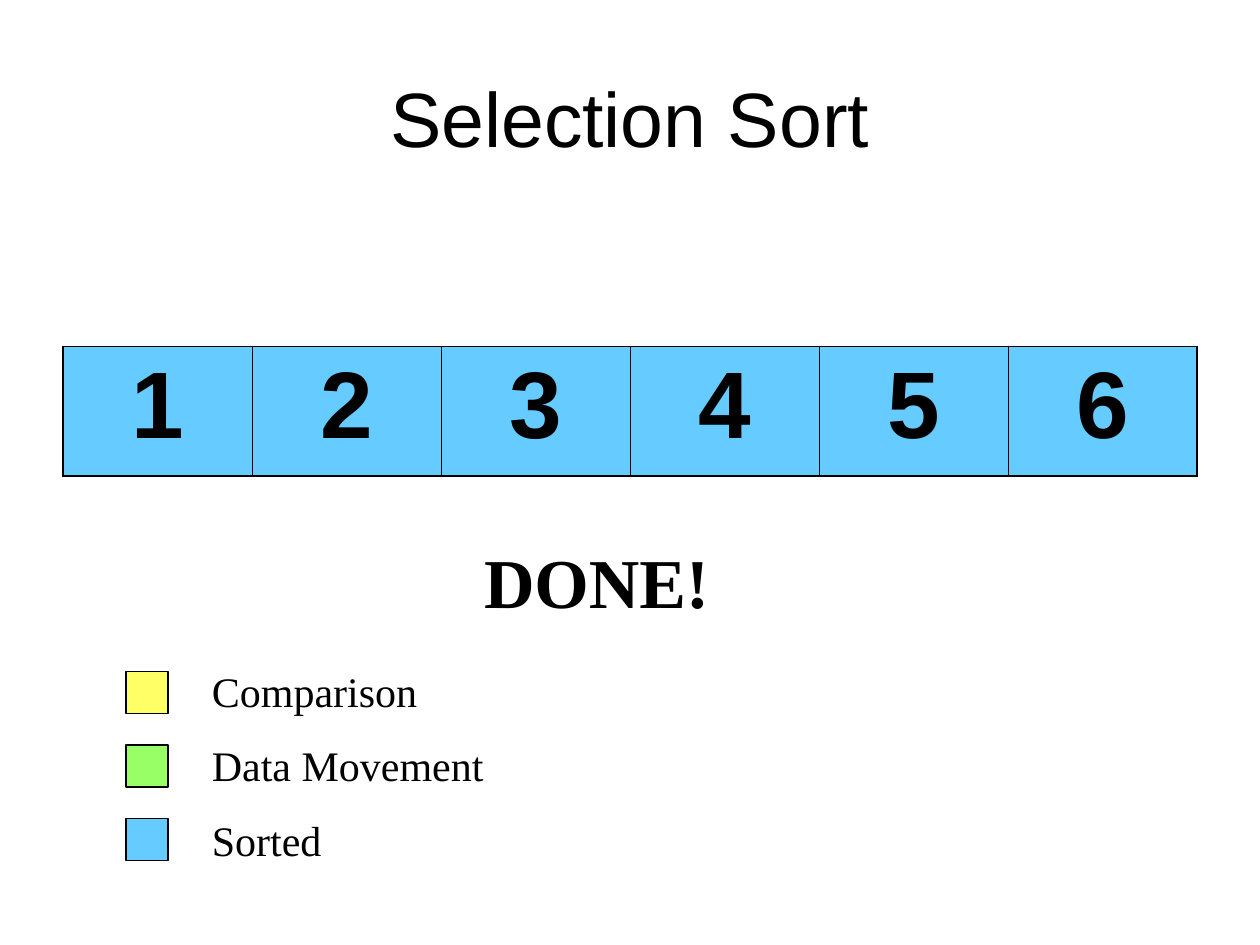
import pptx
import pptx.dml.color
import pptx.enum.shapes
import pptx.enum.text
import pptx.oxml
import pptx.oxml.ns
import pptx.util

Pt = pptx.util.Pt
ALIGN = pptx.enum.text.PP_ALIGN
ANCHOR = pptx.enum.text.MSO_ANCHOR
COLORS = {
    "ink": "000000",
    "comparison": "FFFF66",
    "movement": "99FF66",
    "sorted": "66CCFF",
}
LEGEND = [
    ("Comparison", "comparison"),
    ("Data Movement", "movement"),
    ("Sorted", "sorted"),
]


def color(name):
    return pptx.dml.color.RGBColor.from_string(COLORS[name])


def format_para(para, font, size, bold=False, align=ALIGN.LEFT):
    para.alignment = align
    for span in para.runs:
        span.font.name = font
        span.font.size = Pt(size)
        span.font.bold = bold
        span.font.color.rgb = color("ink")


def add_title(page, left, top, width, height):
    title = page.shapes.title
    title.left, title.top = Pt(left), Pt(top)
    title.width, title.height = Pt(width), Pt(height)
    title.text_frame.text = "Selection Sort"
    title.text_frame.vertical_anchor = ANCHOR.MIDDLE
    format_para(title.text_frame.paragraphs[0], "Arial", 44, align=ALIGN.CENTER)


def set_borders(cell, widths):
    properties = cell._tc.get_or_add_tcPr()
    for index, (side, width) in enumerate(widths.items()):
        border = pptx.oxml.parse_xml(
            f'<a:ln{side} {pptx.oxml.ns.nsdecls("a")} w="{int(Pt(width))}">'
            f'<a:solidFill><a:srgbClr val="{COLORS["ink"]}"/></a:solidFill>'
            f"</a:ln{side}>"
        )
        properties.insert(index, border)


def add_array(page, left, top, width, height, values):
    frame = page.shapes.add_table(
        1, len(values), Pt(left), Pt(top), Pt(width), Pt(height)
    )
    table = frame.table
    table.first_row = False
    table.horz_banding = False
    last = len(values) - 1
    for index, value in enumerate(values):
        cell = table.cell(0, index)
        cell.text_frame.text = str(value)
        cell.vertical_anchor = ANCHOR.TOP
        format_para(cell.text_frame.paragraphs[0], "Arial", 54, True, ALIGN.CENTER)
        cell.fill.solid()
        cell.fill.fore_color.rgb = color("sorted")
        set_borders(cell, {
            "L": 1.08 if index == 0 else 0.45,
            "R": 1.08 if index == last else 0.45,
            "T": 1.08,
            "B": 1.08,
        })


def add_text(page, left, top, width, height, lines, size, bold=False, gap=0, wrap=True):
    box = page.shapes.add_textbox(Pt(left), Pt(top), Pt(width), Pt(height))
    frame = box.text_frame
    frame.word_wrap = wrap
    frame.auto_size = pptx.enum.text.MSO_AUTO_SIZE.SHAPE_TO_FIT_TEXT
    frame.text = "\n".join(lines)
    for index, para in enumerate(frame.paragraphs):
        format_para(para, "Times New Roman", size, bold)
        if index:
            para.space_before = Pt(gap)


def add_legend(page, left, top, width, height):
    swatch, pitch, indent = 24, 42, 42
    for index, (label, fill) in enumerate(LEGEND):
        square = page.shapes.add_shape(
            pptx.enum.shapes.MSO_SHAPE.RECTANGLE,
            Pt(left), Pt(top + 7.2 + index * pitch), Pt(swatch), Pt(swatch),
        )
        square.shadow.inherit = False
        square.fill.solid()
        square.fill.fore_color.rgb = color(fill)
        square.line.color.rgb = color("ink")
        square.line.width = Pt(0.75)
    labels = [label for label, fill in LEGEND]
    add_text(page, left + indent, top, width - indent, height, labels, 24, gap=13.8)


def main():
    deck = pptx.Presentation()
    deck.slide_width, deck.slide_height = Pt(720), Pt(540)
    page = deck.slides.add_slide(deck.slide_layouts[5])
    add_title(page, 36, 21.6, 648, 90)
    add_array(page, 36, 198, 648, 74.16, range(1, 7))
    add_text(page, 269.5, 304, 143, 55.4, ["DONE!"], 40, bold=True, wrap=False)
    add_legend(page, 72, 376.6, 263.5, 118.8)
    deck.save("out.pptx")


if __name__ == "__main__":
    main()
